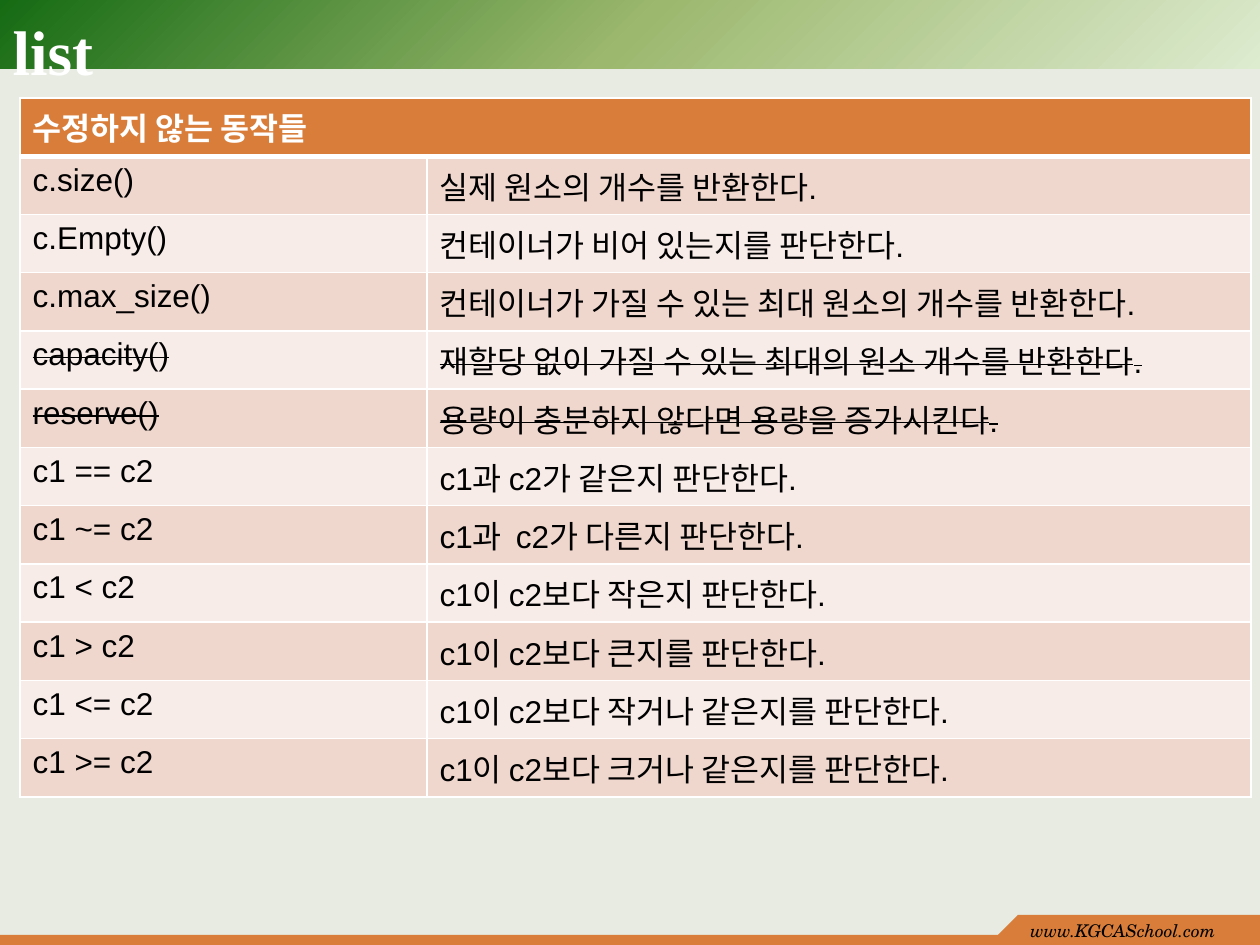
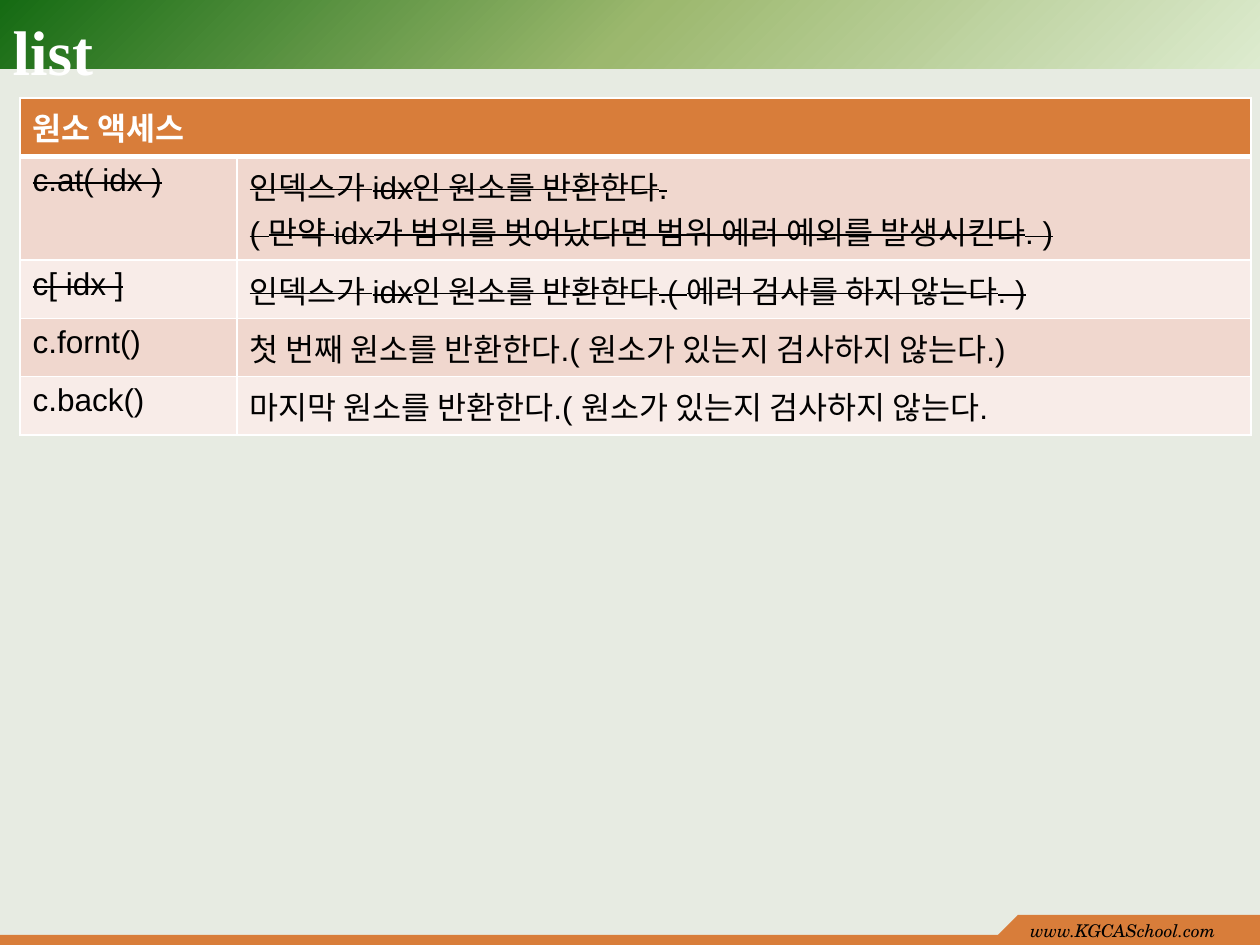
from dataclasses import dataclass
from typing import NamedTuple

import pptx
import pptx.dml.color
import pptx.enum.shapes
import pptx.enum.text
import pptx.oxml
import pptx.oxml.ns
import pptx.util

SCALE = 914400 / 126
WIDE, HIGH = 1260, 945
TITLE = "list"
SITE = "www.KGCASchool.com"


@dataclass(frozen=True)
class Theme:
    page: str = "E7EBE2"
    main: str = "D87D3A"
    odd: str = "F0D7CE"
    even: str = "F8ECE8"
    white: str = "FFFFFF"
    black: str = "000000"
    band: tuple[str, ...] = ("DDEBCF", "9CB86E", "156B13")
    head: str = "Times New Roman"
    body: str = "Arial"
    foot: str = "TeX Gyre Schola"
    big: int = 36
    mid: int = 18
    small: int = 10
    thin: int = 1
    thick: int = 3


class Box(NamedTuple):
    left: int
    top: int
    width: int
    height: int


class Row(NamedTuple):
    call: str
    note: str
    struck: bool = False


class Page(NamedTuple):
    head: str
    cols: tuple[int, int]
    rows: list[Row]


LOOK = Theme()
BAND = Box(0, 0, WIDE, 69)
STRIP = Box(0, 935, WIDE, 10)
TAB = Box(1018, 915, 242, 21)
SIGN = Box(1018, 914, 242, 31)
NAME = Box(0, 0, 1134, 88)
GRID = Box(20, 98, 1231, 58)
LINE = 46

PAGES = [
    Page("수정하지 않는 동작들", (407, 824), [
        Row("c.size()", "실제 원소의 개수를 반환한다."),
        Row("c.Empty()", "컨테이너가 비어 있는지를 판단한다."),
        Row("c.max_size()", "컨테이너가 가질 수 있는 최대 원소의 개수를 반환한다."),
        Row("capacity()", "재할당 없이 가질 수 있는 최대의 원소 개수를 반환한다.", True),
        Row("reserve()", "용량이 충분하지 않다면 용량을 증가시킨다.", True),
        Row("c1 == c2", "c1과 c2가 같은지 판단한다."),
        Row("c1 ~= c2", "c1과  c2가 다른지 판단한다."),
        Row("c1 < c2", "c1이 c2보다 작은지 판단한다."),
        Row("c1 > c2", "c1이 c2보다 큰지를 판단한다."),
        Row("c1 <= c2", "c1이 c2보다 작거나 같은지를 판단한다."),
        Row("c1 >= c2", "c1이 c2보다 크거나 같은지를 판단한다."),
    ]),
    Page("원소 액세스", (217, 1014), [
        Row("c.at( idx )", "인덱스가 idx인 원소를 반환한다.\n"
            "( 만약 idx가 범위를 벗어났다면 범위 에러 예외를 발생시킨다. )", True),
        Row("c[ idx ]", "인덱스가 idx인 원소를 반환한다.( 에러 검사를 하지 않는다. )", True),
        Row("c.fornt()", "첫 번째 원소를 반환한다.( 원소가 있는지 검사하지 않는다.)"),
        Row("c.back()", "마지막 원소를 반환한다.( 원소가 있는지 검사하지 않는다."),
    ]),
]


def px(size: int) -> pptx.util.Emu:
    return pptx.util.Emu(round(size * SCALE))


def place(box: Box) -> list[pptx.util.Emu]:
    return [px(size) for size in box]


def rgb(code: str) -> pptx.dml.color.RGBColor:
    return pptx.dml.color.RGBColor.from_string(code)


def xml(text: str):
    space = pptx.oxml.ns.nsdecls("a")
    return pptx.oxml.parse_xml(text.replace(">", f" {space}>", 1))


def write(frame, text: str, face: str, size: int, tint: str,
          bold: bool = False, slant: bool = False):
    para = frame.paragraphs[0]
    para.text = text
    para.alignment = pptx.enum.text.PP_ALIGN.LEFT
    font = para.font
    font.name, font.size = face, pptx.util.Pt(size)
    font.bold, font.italic = bold, slant
    font.color.rgb = rgb(tint)
    return para


def paint(shape, tint: str) -> None:
    shape.shadow.inherit = False
    shape.line.fill.background()
    shape.fill.solid()
    shape.fill.fore_color.rgb = rgb(tint)


def block(slide, box: Box):
    kind = pptx.enum.shapes.MSO_SHAPE.RECTANGLE
    shape = slide.shapes.add_shape(kind, *place(box))
    paint(shape, LOOK.main)
    return shape


def glow(shape) -> None:
    stops = "".join(
        f'<a:gs pos="{spot * 50000}"><a:srgbClr val="{tint}"/></a:gs>'
        for spot, tint in enumerate(LOOK.band))
    grad = xml(f'<a:gradFill rotWithShape="1"><a:gsLst>{stops}</a:gsLst>'
               '<a:path path="circle"><a:fillToRect l="100000" t="100000"/>'
               '</a:path></a:gradFill>')
    props = shape._element.spPr
    props.replace(props.find(pptx.oxml.ns.qn("a:solidFill")), grad)


def frame(slide) -> None:
    glow(block(slide, BAND))
    block(slide, STRIP)
    block(slide, TAB)
    left, top, low = TAB.left, TAB.top, TAB.top + TAB.height
    pen = slide.shapes.build_freeform(px(left - TAB.height), px(low), 1.0)
    pen.add_line_segments([(px(left), px(low)), (px(left), px(top))], close=True)
    paint(pen.convert_to_shape(), LOOK.main)
    sign = slide.shapes.add_textbox(*place(SIGN)).text_frame
    sign.word_wrap = True
    write(sign, SITE, LOOK.foot, LOOK.small, LOOK.black, slant=True)


def title(slide) -> None:
    shape = slide.shapes.title
    shape.left, shape.top, shape.width, shape.height = place(NAME)
    text = shape.text_frame
    text.auto_size = pptx.enum.text.MSO_AUTO_SIZE.NONE
    text.vertical_anchor = pptx.enum.text.MSO_ANCHOR.MIDDLE
    text.margin_top, text.margin_bottom = px(12), px(0)
    write(text, TITLE, LOOK.head, LOOK.big, LOOK.white, bold=True)
    slide.shapes._spTree.append(shape._element)


def edge(cell, top: int, base: int) -> None:
    props = cell._tc.get_or_add_tcPr()
    sides = {"L": LOOK.thin, "R": LOOK.thin, "T": top, "B": base}
    for side, width in sides.items():
        props.append(xml(
            f'<a:ln{side} w="{pptx.util.Pt(width)}"><a:solidFill>'
            f'<a:srgbClr val="{LOOK.white}"/></a:solidFill></a:ln{side}>'))


def tint(cell, code: str) -> None:
    cell.fill.solid()
    cell.fill.fore_color.rgb = rgb(code)


def table(slide, page: Page) -> None:
    lines = [0] + [row.note.count("\n") for row in page.rows]
    tall = [GRID.height + LINE * extra for extra in lines]
    area = GRID._replace(height=sum(tall))
    grid = slide.shapes.add_table(len(tall), 2, *place(area)).table
    for col, width in zip(grid.columns, page.cols):
        col.width = px(width)
    for line, height in zip(grid.rows, tall):
        line.height = px(height)

    head = grid.cell(0, 0)
    for cell in grid.rows[0].cells:
        edge(cell, LOOK.thin, LOOK.thick)
        tint(cell, LOOK.main)
    head.merge(grid.cell(0, 1))
    write(head.text_frame, page.head, LOOK.body, LOOK.mid, LOOK.white, bold=True)

    for spot, row in enumerate(page.rows, 1):
        for cell, text in zip(grid.rows[spot].cells, (row.call, row.note)):
            edge(cell, LOOK.thick if spot == 1 else LOOK.thin, LOOK.thin)
            tint(cell, LOOK.odd if spot % 2 else LOOK.even)
            para = write(cell.text_frame, text, LOOK.body, LOOK.mid, LOOK.black)
            if row.struck:
                for run in para.runs:
                    run._r.get_or_add_rPr().set("strike", "sngStrike")


def main() -> None:
    deck = pptx.Presentation()
    deck.slide_width, deck.slide_height = px(WIDE), px(HIGH)
    back = deck.slide_master.background.fill
    back.solid()
    back.fore_color.rgb = rgb(LOOK.page)
    for page in PAGES:
        slide = deck.slides.add_slide(deck.slide_layouts[5])
        frame(slide)
        title(slide)
        table(slide, page)
    deck.save("out.pptx")


if __name__ == "__main__":
    main()
